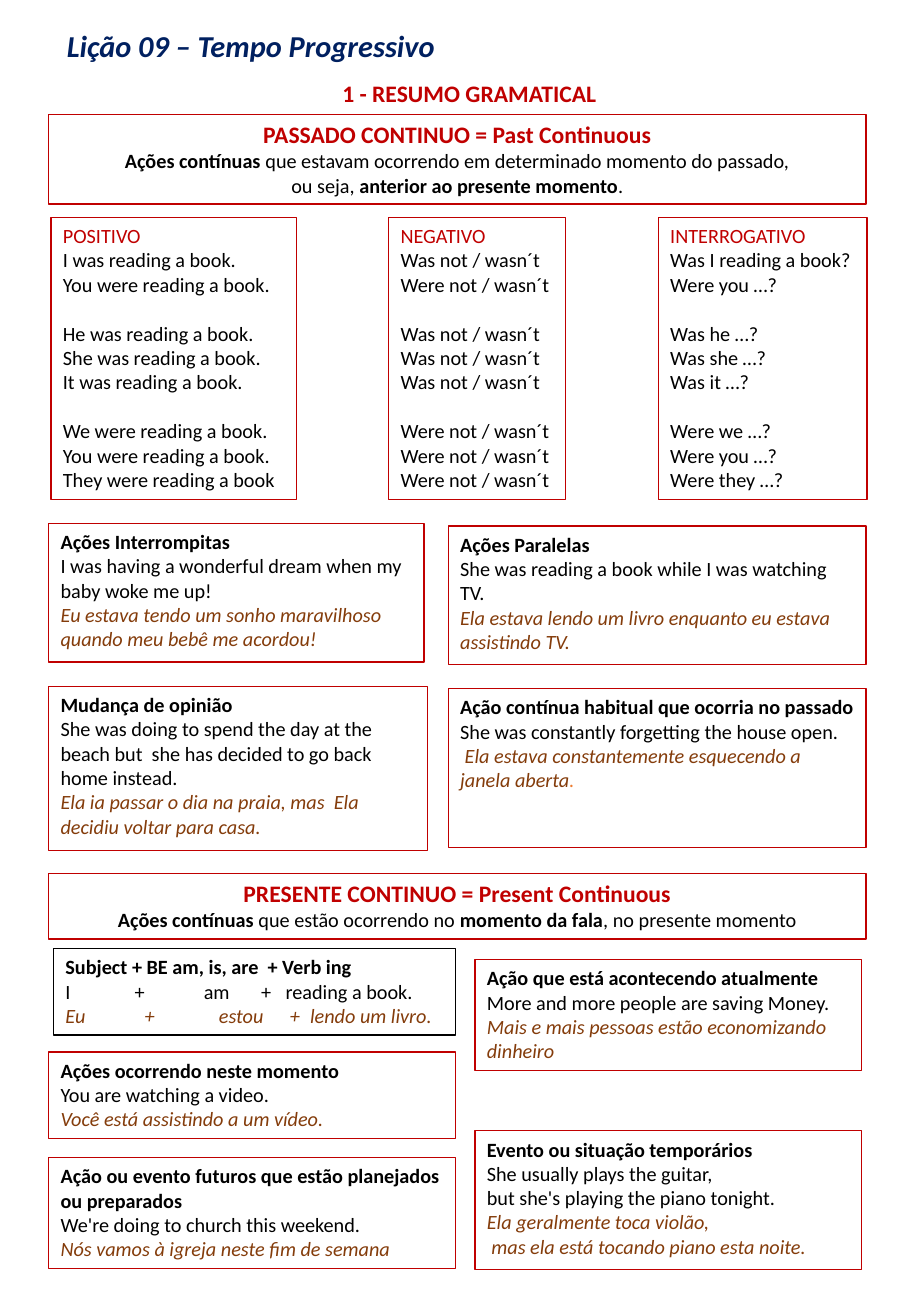
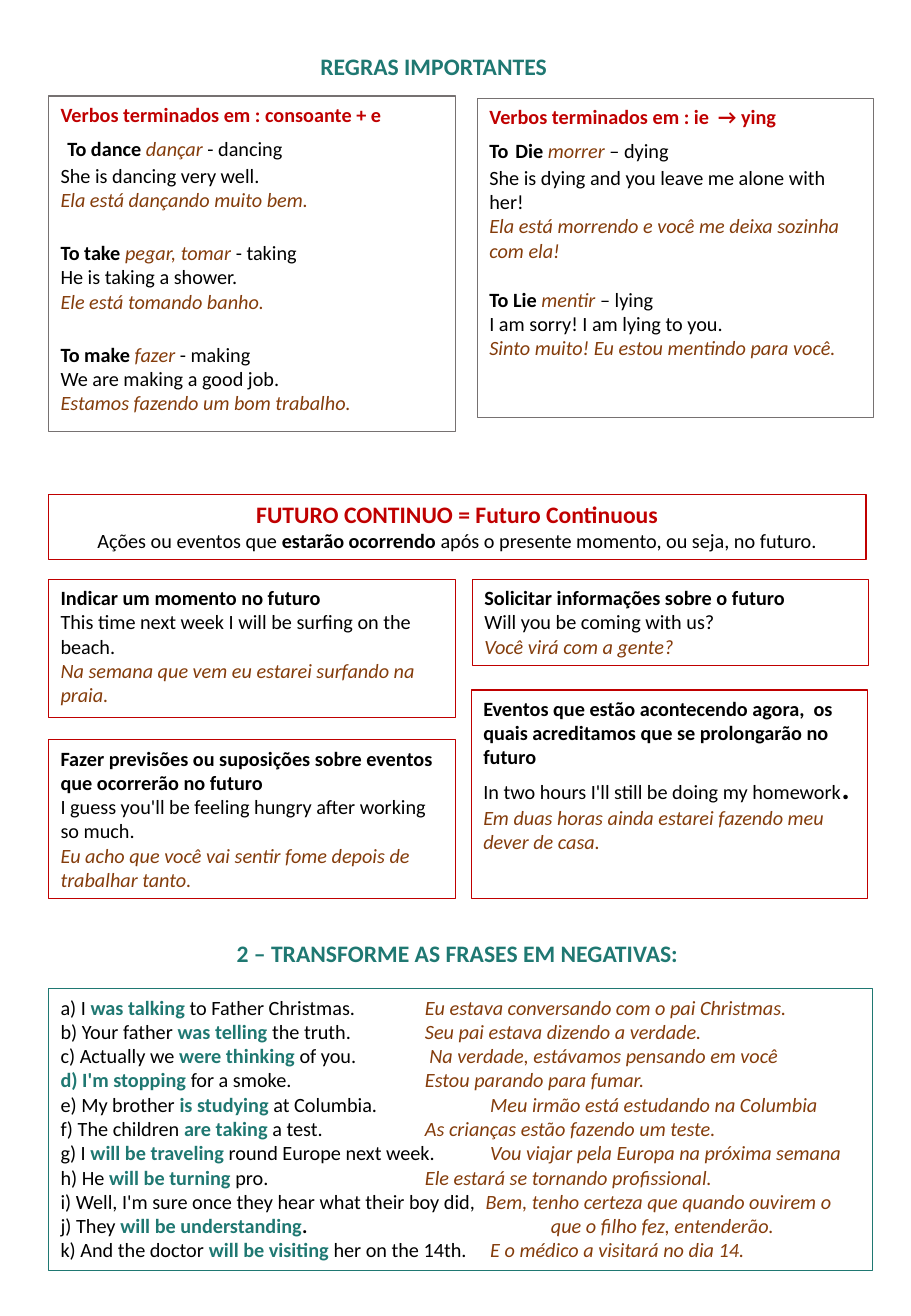
from lxml.etree import SubElement
from pptx import Presentation
from pptx.dml.color import RGBColor
from pptx.enum.text import PP_ALIGN
from pptx.oxml.ns import qn
from pptx.util import Pt

RED = RGBColor(0xC0, 0x00, 0x00)
NAVY = RGBColor(0x00, 0x20, 0x60)
BLACK = RGBColor(0x00, 0x00, 0x00)
BROWN = RGBColor(0x84, 0x3C, 0x0B)
TEAL = RGBColor(0x1F, 0x78, 0x72)
GRAY = RGBColor(0x76, 0x71, 0x71)
ORANGE = RGBColor(0xED, 0x7D, 0x31)

FONT = "Calibri"
LEFT = 28.8
BAND_WIDTH = 484.6
HALF_WIDTH = 241.2
BLANK_LINE = 14.65
TALL_BLANK = 17.1

STYLES = {
    "title": {"size": Pt(18), "color": NAVY, "bold": True, "italic": True},
    "red_heading": {"size": Pt(14), "color": RED, "bold": True},
    "teal_heading": {"size": Pt(14), "color": TEAL, "bold": True},
    "red_label": {"size": Pt(12), "color": RED, "bold": True},
    "column_label": {"size": Pt(12), "color": RED},
    "plain": {"size": Pt(12), "color": BLACK},
    "bold": {"size": Pt(12), "color": BLACK, "bold": True},
    "verb": {"size": Pt(12), "color": TEAL, "bold": True},
    "translation": {"size": Pt(12), "color": BROWN, "italic": True},
    "orange": {"size": Pt(12), "color": ORANGE, "italic": True},
    "large": {"size": Pt(18), "color": BLACK},
    "large_bold": {"size": Pt(18), "color": BLACK, "bold": True},
}


def line(*runs, tabs=(), indent=0, **spacing):
    return {"runs": runs, "tabs": tabs, "indent": indent, "spacing": spacing}


def add_run(para, style, text):
    span = para.add_run()
    span.text = text
    span.font.name = FONT
    for name, value in STYLES[style].items():
        if name == "color":
            span.font.color.rgb = value
        else:
            setattr(span.font, name, value)


def fill_paragraph(para, content):
    properties = para._p.get_or_add_pPr()
    if content["indent"]:
        properties.set("indent", str(Pt(content["indent"])))
    if content["tabs"]:
        stops = SubElement(properties, qn("a:tabLst"))
        for position in content["tabs"]:
            SubElement(stops, qn("a:tab"), pos=str(Pt(position)), algn="l")
    for name, value in content["spacing"].items():
        setattr(para, name, value)
    for style, text in content["runs"]:
        add_run(para, style, text)


def add_text(page, left, top, width, height, lines, wrap=True):
    box = page.shapes.add_textbox(Pt(left), Pt(top), Pt(width), Pt(height))
    frame = box.text_frame
    frame.word_wrap = wrap
    for index, content in enumerate(lines):
        para = frame.add_paragraph() if index else frame.paragraphs[0]
        fill_paragraph(para, content)
    return box


def add_box(page, left, top, width, height, lines, border=RED):
    box = add_text(page, left, top, width, height, lines)
    box.line.color.rgb = border
    box.line.width = Pt(0.75)


def add_heading(page, left, top, width, style, text, height=24.5, **spacing):
    add_text(page, left, top, width, height, [line((style, text), **spacing)], wrap=False)


def add_band(page, top, height, heading, *details):
    rows = [[("red_heading", heading)], *details]
    add_box(page, LEFT, top, BAND_WIDTH, height,
            [line(*runs, alignment=PP_ALIGN.CENTER) for runs in rows])


def add_card(page, left, top, width, height, heading, examples, translations):
    lines = [line(("bold", heading))]
    lines += [line(("plain", text)) for text in examples]
    lines += [line(("translation", text)) for text in translations]
    add_box(page, left, top, width, height, lines)


def add_columns(page, columns):
    start, end = 30.2, 514
    gap = (end - start - sum(width for width, _, _ in columns)) / (len(columns) - 1)
    left = start
    for width, label, rows in columns:
        lines = [line(("column_label", label))]
        for index, text in enumerate(rows):
            spacing = {"space_before": Pt(BLANK_LINE)} if index in (2, 5) else {}
            lines.append(line(("plain", text), **spacing))
        add_box(page, left, 128.9, width, 167, lines)
        left += width + gap


def verb_lines(name, meaning, form, example, translation, before=TALL_BLANK, **options):
    names = name if isinstance(name, list) else [("bold", name)]
    return [
        line(*names, ("translation", meaning), ("plain", form),
             space_before=Pt(before), **options),
        line(("plain", example)),
        line(("translation", translation)),
    ]


def build_summary(page):
    add_heading(page, 31.7, 10.8, 234, "title", "Lição 09 – Tempo Progressivo",
                height=29.5, alignment=PP_ALIGN.CENTER, line_spacing=1.07)
    add_heading(page, 195.8, 43.2, 166.3, "red_heading", "1 - RESUMO GRAMATICAL")
    add_band(page, 67.7, 53.3, "PASSADO CONTINUO = Past Continuous",
             [("bold", "Ações contínuas "),
              ("plain", "que estavam ocorrendo em determinado momento do passado,")],
             [("plain", "ou seja, "), ("bold", "anterior ao presente momento"), ("plain", ".")])
    add_columns(page, [
        (145.4, "POSITIVO", [
            "I was reading a book.", "You were reading a book.",
            "He was reading a book.", "She was reading a book.", "It was reading a book.",
            "We were reading a book.", "You were reading a book.", "They were reading a book"]),
        (105.1, "NEGATIVO", ["Was not / wasn´t", "Were not / wasn´t"]
         + ["Was not / wasn´t"] * 3 + ["Were not / wasn´t"] * 3),
        (123.8, "INTERROGATIVO", [
            "Was I reading a book?", "Were you …?", "Was he …?", "Was she …?", "Was it …?",
            "Were we …?", "Were you …?", "Were they …?"]),
    ])
    right, right_width = 265.7, 247.7
    add_card(page, LEFT, 310.3, 222.5, 82.1, "Ações Interrompitas",
             ["I was having a wonderful dream when my baby woke me up!"],
             ["Eu estava tendo um sonho maravilhoso quando meu bebê me acordou!"])
    add_card(page, right, 311.8, right_width, 82.1, "Ações Paralelas",
             ["She was reading a book while I was watching TV."],
             ["Ela estava lendo um livro enquanto eu estava assistindo TV."])
    add_card(page, LEFT, 406.8, 224.6, 97.2, "Mudança de opinião",
             ["She was doing to spend the day at the beach but  she has decided "
              "to go back home instead."],
             ["Ela ia passar o dia na praia, mas  Ela decidiu voltar para casa."])
    add_box(page, right, 408.2, right_width, 94.3, [
        line(("bold", "Ação contínua habitual que ocorria no passado")),
        line(("plain", "She was constantly forgetting the house open.")),
        line(("translation", "Ela estava constantemente esquecendo a janela aberta"),
             ("orange", "."), indent=2.7),
    ])
    add_band(page, 517.7, 38.9, "PRESENTE CONTINUO = Present Continuous",
             [("bold", "Ações contínuas"), ("plain", " que estão ocorrendo no "),
              ("bold", "momento da fala"), ("plain", ", no presente momento")])
    add_box(page, 31.7, 562.3, 238.3, 51.1, [
        line(("bold", "Subject + BE am, is, are  + Verb ing")),
        line(("plain", "I\t+\tam\t+\treading a book."), tabs=(41, 82, 116, 130.5)),
        line(("translation", "Eu\t+\testou\t+\tlendo um livro."), tabs=(47, 91, 133, 145)),
    ], border=BLACK)
    add_card(page, LEFT, 623.5, HALF_WIDTH, 51.1, "Ações ocorrendo neste momento",
             ["You are watching a video."], ["Você está assistindo a um vídeo."])
    add_card(page, LEFT, 686.2, HALF_WIDTH, 65.5,
             "Ação ou evento futuros que estão planejados ou preparados",
             ["We're doing to church this weekend."],
             ["Nós vamos à igreja neste fim de semana"])
    add_card(page, 281.5, 568.8, 229, 65.5, "Ação que está acontecendo atualmente",
             ["More and more people are saving Money."],
             ["Mais e mais pessoas estão economizando dinheiro"])
    add_box(page, 281.5, 670.3, 229, 82.1, [
        line(("bold", "Evento ou situação temporários")),
        line(("plain", "She usually plays the guitar,")),
        line(("plain", "but she's playing the piano tonight.")),
        line(("translation", "Ela geralmente toca violão,")),
        line(("translation", "mas ela está tocando piano esta noite."), indent=2.7),
    ])


def add_exercise(page):
    near, far = 216, 252
    space = 2.7
    sentences = [
        ("a) I ", "was talking ", "to Father Christmas.", near,
         "Eu estava conversando com o pai Christmas."),
        ("b) Your father ", "was telling ", "the truth.", near,
         "Seu pai estava dizendo a verdade."),
        ("c) Actually we ", "were thinking ", "of you.", near + space,
         "Na verdade, estávamos pensando em você"),
        ("", "d) I'm stopping ", "for a smoke.", near, "Estou parando para fumar."),
        ("e) My brother ", "is studying ", "at Columbia.", far + space,
         "Meu irmão está estudando na Columbia"),
        ("f) The children ", "are taking ", "a test.", near,
         "As crianças estão fazendo um teste."),
        ("g) I ", "will be traveling ", "round Europe next week.", far + space,
         "Vou viajar pela Europa na próxima semana"),
        ("h) He ", "will be turning ", "pro.", near, "Ele estará se tornando profissional."),
        ("i) Well, I'm sure once they hear what their boy did,", "", "", far,
         "Bem, tenho certeza que quando ouvirem o"),
        ("j) They ", "will be understanding", ".", 288 + space,
         "que o filho fez, entenderão."),
        ("k) And the doctor ", "will be visiting ", "her on the 14th.", far + space,
         "E o médico a visitará no dia 14."),
    ]
    lines = []
    for start, verb, rest, stop, translation in sentences:
        rest_style = "bold" if rest == "." else "plain"
        runs = [("plain", start), ("verb", verb), (rest_style, rest),
                ("translation", "\t" + translation)]
        lines.append(line(*[run for run in runs if run[1]], tabs=(stop,)))
    add_box(page, LEFT, 586.1, 488.2, 167, lines, border=TEAL)


def build_rules(page):
    add_heading(page, 182.2, 27.4, 149.8, "teal_heading", "REGRAS IMPORTANTES",
                alignment=PP_ALIGN.CENTER)
    add_box(page, LEFT, 56.9, HALF_WIDTH, 198.7, [
        line(("red_label", "Verbos terminados em : consoante + e")),
        *verb_lines("To dance ", "dançar", " - dancing", "She is dancing very well.",
                    "Ela está dançando muito bem.", before=5.7, indent=4, space_after=Pt(1.6)),
        *verb_lines("To take ", "pegar, tomar ", "- taking", "He is taking a shower.",
                    "Ele está tomando banho."),
        *verb_lines("To make ", "fazer", " - making", "We are making a good job.",
                    "Estamos fazendo um bom trabalho."),
    ], border=GRAY)
    add_box(page, 283, 58.3, 234.7, 189.4, [
        line(("red_label", "Verbos terminados em : ie  → ying")),
        *verb_lines([("bold", "To"), ("large_bold", " "), ("bold", "Die ")],
                    "morrer", " – dying", "She is dying and you leave me alone with her!",
                    "Ela está morrendo e você me deixa sozinha com ela!", before=0),
        *verb_lines("To Lie ", "mentir", " – lying", "I am sorry! I am lying to you.",
                    "Sinto muito! Eu estou mentindo para você.", before=BLANK_LINE),
    ], border=GRAY)
    add_band(page, 293, 38.9, "FUTURO CONTINUO = Futuro Continuous",
             [("plain", "Ações ou eventos que "), ("bold", "estarão ocorrendo"),
              ("plain", " após o presente momento, ou seja, no futuro.")])
    add_card(page, LEFT, 343.4, HALF_WIDTH, 82.1, "Indicar um momento no futuro",
             ["This time next week I will be surfing on the beach."],
             ["Na semana que vem eu estarei surfando na praia."])
    add_card(page, LEFT, 438.5, HALF_WIDTH, 94.3,
             "Fazer previsões ou suposições sobre eventos que ocorrerão no futuro",
             ["I guess you'll be feeling hungry after working so much."],
             ["Eu acho que você vai sentir fome depois de trabalhar tanto."])
    add_card(page, 280.1, 343.4, 234.7, 51.1, "Solicitar informações sobre o futuro",
             ["Will you be coming with us?"], ["Você virá com a gente?"])
    add_box(page, 279.4, 409, 234.7, 123.8, [
        line(("bold", "Eventos que estão acontecendo agora,  os quais acreditamos "
                      "que se prolongarão no futuro")),
        line(("plain", "In two hours I'll still be doing my homework"), ("large_bold", ".")),
        line(("translation", "Em duas horas ainda estarei fazendo meu dever de casa.")),
    ])
    add_heading(page, 133.2, 553, 277.9, "teal_heading",
                "2 – TRANSFORME AS FRASES EM NEGATIVAS:")
    add_exercise(page)


def main():
    deck = Presentation()
    deck.slide_width, deck.slide_height = Pt(540), Pt(780)
    for build in (build_summary, build_rules):
        build(deck.slides.add_slide(deck.slide_layouts[6]))
    deck.save("out.pptx")


if __name__ == "__main__":
    main()
